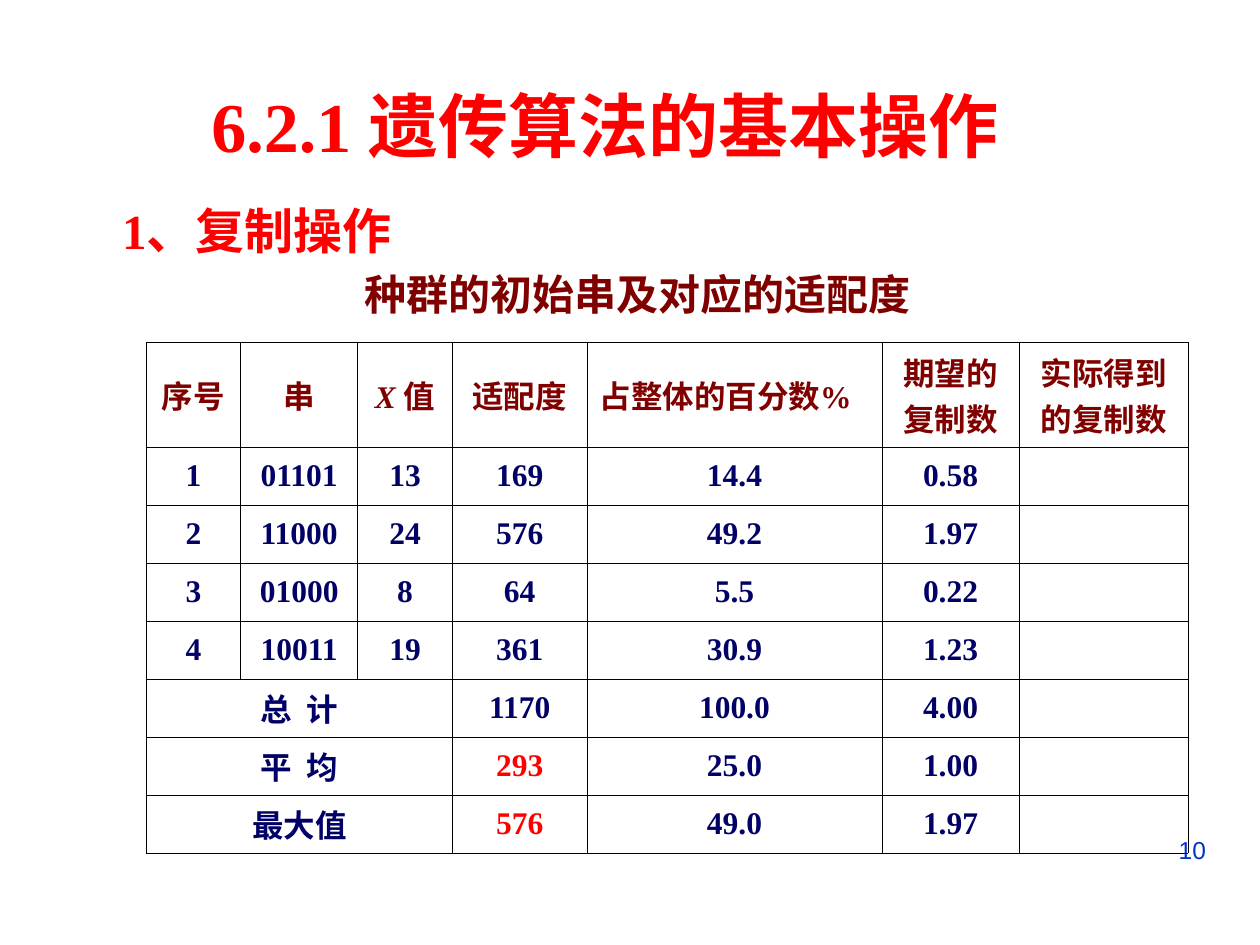
from lxml.etree import SubElement
from pptx import Presentation
from pptx.dml.color import RGBColor as RGB
from pptx.enum.text import MSO_ANCHOR as Anchor, MSO_AUTO_SIZE as AutoSize, PP_ALIGN as Align
from pptx.oxml.ns import qn
from pptx.util import Inches, Pt

COLORS = {
    "red": "FF0000", "maroon": "800000", "navy": "000066",
    "blue": "0033CC", "teal": "007572", "black": "000000",
}
SERIF, SANS = "Times New Roman", "Arial"
HANGING = 0.38
COLUMNS = [0.75, 0.93, 0.75, 1.07, 2.34, 1.09, 1.34]
HEADER_HEIGHT, ROW_HEIGHT = 0.83, 0.46
HEADERS = ["序号", "串", "X 值", "适配度", "占整体的百分数%",
           "期望的\n复制数", "实际得到\n的复制数"]
STRINGS = [
    ["1", "01101", "13", "169", "14.4", "0.58"],
    ["2", "11000", "24", "576", "49.2", "1.97"],
    ["3", "01000", "8", "64", "5.5", "0.22"],
    ["4", "10011", "19", "361", "30.9", "1.23"],
]
SUMMARIES = [
    ["总  计", "", "", "1170", "100.0", "4.00"],
    ["平  均", "", "", "293", "25.0", "1.00"],
    ["最大值", "", "", "576", "49.0", "1.97"],
]
HIGHLIGHTS = {(6, 3), (7, 3)}


def add_run(p, text, size=18, font=SERIF, color="navy", bold=True, italic=False):
    """Append a formatted run to a paragraph."""
    r = p.add_run()
    r.text = text
    r.font.size, r.font.name = Pt(size), font
    r.font.bold, r.font.italic = bold, italic
    r.font.color.rgb = RGB.from_string(COLORS[color])


def write(tf, text, align=Align.CENTER, anchor=Anchor.MIDDLE, hanging=0,
          spacing=None, before=None, **font):
    """Fill a text frame with one paragraph per line of text."""
    tf.word_wrap = True
    tf.vertical_anchor = anchor
    for i, line in enumerate(text.split("\n")):
        p = tf.paragraphs[0] if i == 0 else tf.add_paragraph()
        p.alignment, p.line_spacing = align, spacing
        if before is not None:
            p.space_before = Pt(before)
        if hanging:
            pPr = p._p.get_or_add_pPr()
            pPr.set("marL", str(Inches(hanging)))
            pPr.set("indent", str(-Inches(hanging)))
        if line.startswith("X "):
            add_run(p, "X ", italic=True, **font)
            line = line[2:]
        add_run(p, line, **font)


def add_text(s, box, text, **fmt):
    """Add a text box with formatted text."""
    sp = s.shapes.add_textbox(*map(Inches, box))
    write(sp.text_frame, text, **fmt)


def add_heading(s, box, text):
    """Place the section heading in the title placeholder."""
    sp = s.shapes.title
    sp.left, sp.top, sp.width, sp.height = map(Inches, box)
    tf = sp.text_frame
    write(tf, text, align=Align.LEFT, size=28, color="red")
    add_run(tf.paragraphs[0], " ", size=40, font=SANS, color="teal", bold=False)
    tf.auto_size = AutoSize.NONE


def style_cell(cell):
    """Give a cell thin black borders and no fill."""
    tcPr = cell._tc.get_or_add_tcPr()
    for side in ("a:lnL", "a:lnR", "a:lnT", "a:lnB"):
        ln = SubElement(tcPr, qn(side), w=str(Pt(0.45)))
        fill = SubElement(ln, qn("a:solidFill"))
        SubElement(fill, qn("a:srgbClr"), val=COLORS["black"])
    cell.fill.background()


def cell_color(row, col):
    """Return the colour name for a table cell's text."""
    if row == 0:
        return "maroon"
    return "red" if (row, col) in HIGHLIGHTS else "navy"


def add_fitness_table(s, left, top):
    """Add the table of strings, fitness values and summaries."""
    rows = [HEADERS] + STRINGS + SUMMARIES
    heights = [HEADER_HEIGHT] + [ROW_HEIGHT] * (len(rows) - 1)
    size = map(Inches, (left, top, sum(COLUMNS), sum(heights)))
    table = s.shapes.add_table(len(rows), len(COLUMNS), *size).table
    table.first_row = table.horz_banding = False
    for column, width in zip(table.columns, COLUMNS):
        column.width = Inches(width)
    for row, height in zip(table.rows, heights):
        row.height = Inches(height)
    for cell in table.iter_cells():
        style_cell(cell)
    for i, values in enumerate(rows):
        if i > len(STRINGS):
            table.cell(i, 0).merge(table.cell(i, 2))
        for j, text in enumerate(values):
            cell = table.cell(i, j)
            cell.vertical_anchor = Anchor.MIDDLE
            if text:
                align = Align.LEFT if (i, j) == (0, 4) else Align.CENTER
                write(cell.text_frame, text, align=align, hanging=HANGING,
                      color=cell_color(i, j))


def main():
    """Build and save the slide."""
    prs = Presentation()
    prs.slide_width, prs.slide_height = Inches(10), Inches(7.5)
    s = prs.slides.add_slide(prs.slide_layouts[5])
    add_text(s, (7.17, 6.58, 2.5, 0.52), "10", align=Align.RIGHT,
             anchor=Anchor.TOP, size=14, font=SANS, color="blue", bold=False)
    add_text(s, (2.34, 2.19, 5.51, 0.39), "种群的初始串及对应的适配度 ",
             anchor=Anchor.TOP, hanging=HANGING, spacing=0.7, before=6,
             size=24, font=SANS, color="maroon")
    add_fitness_table(s, 1.16, 2.72)
    add_heading(s, (0.87, 1.49, 4.92, 0.54), "1、复制操作")
    add_text(s, (0.32, 0.5, 8.96, 0.98), "6.2.1 遗传算法的基本操作",
             size=40, color="red")
    prs.save("out.pptx")


if __name__ == "__main__":
    main()
